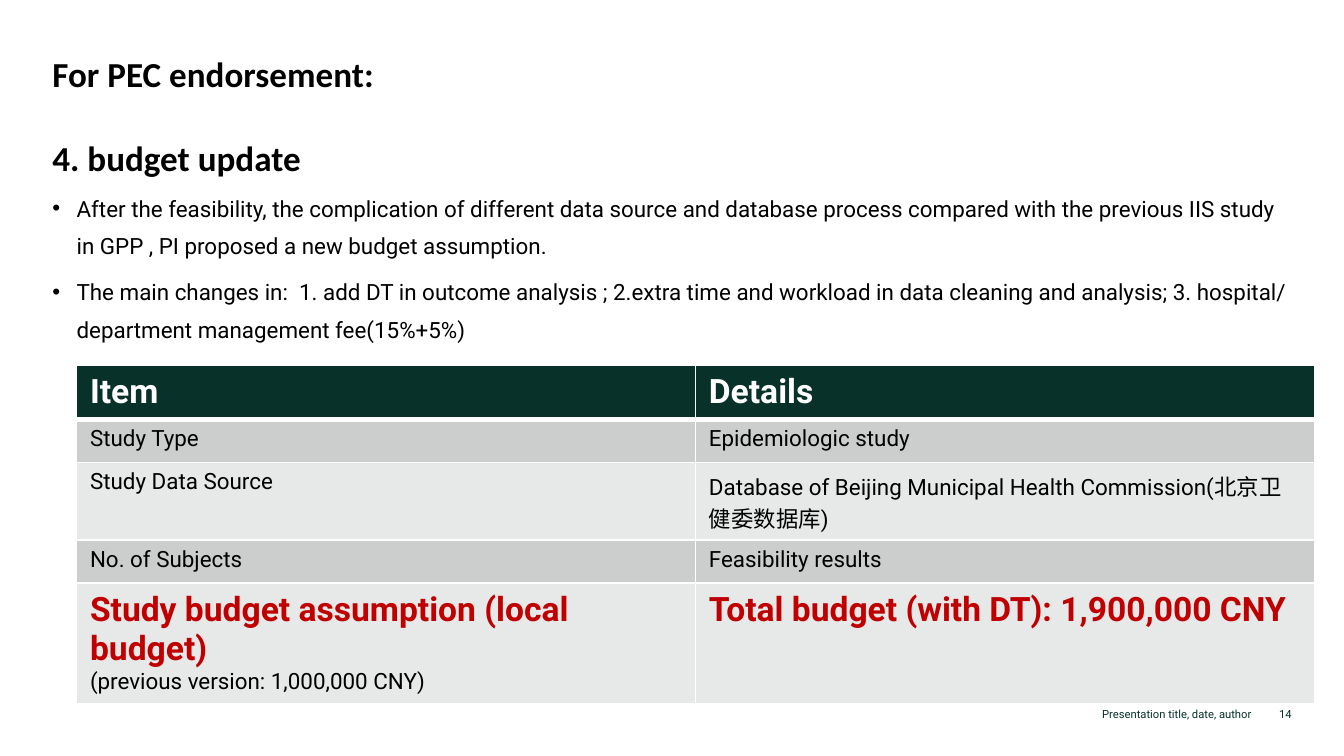
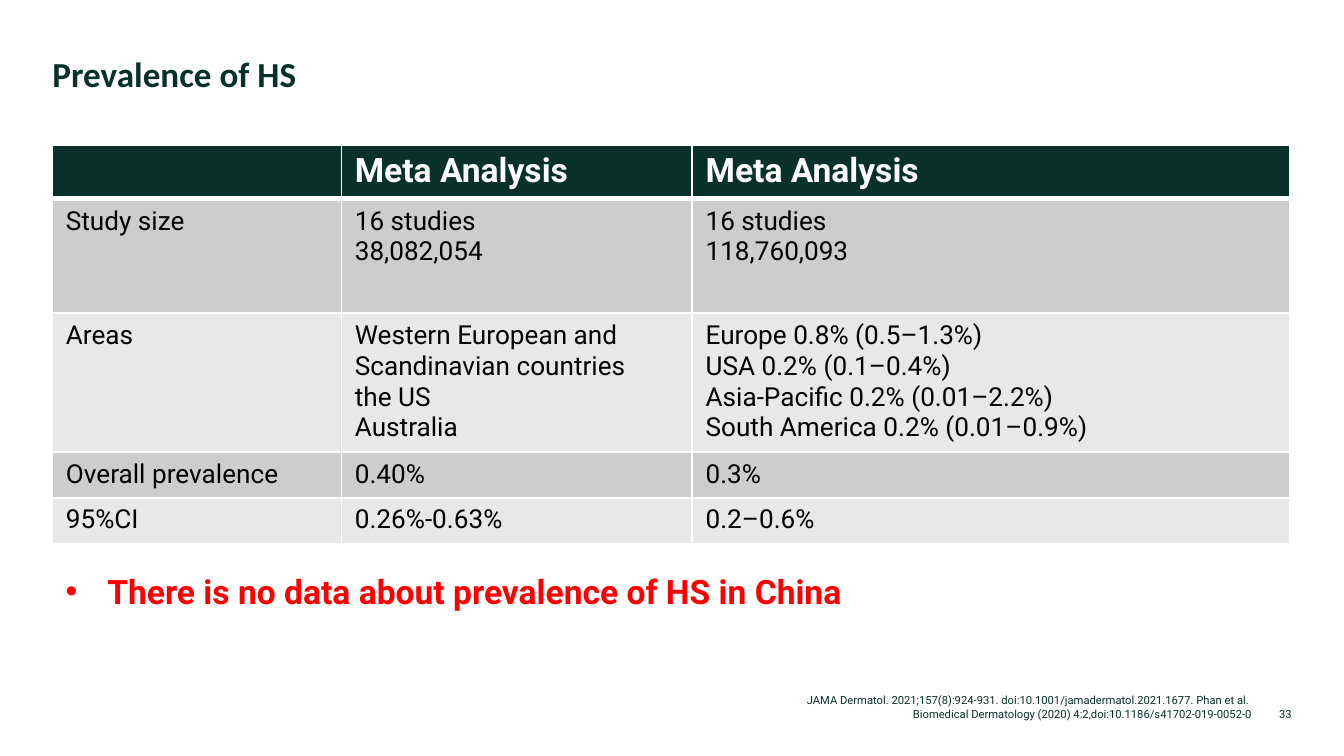
from dataclasses import dataclass

from lxml.etree import SubElement
from pptx import Presentation
from pptx.dml.color import RGBColor
from pptx.enum.text import MSO_ANCHOR, MSO_AUTO_SIZE, PP_ALIGN
from pptx.oxml.ns import qn
from pptx.util import Inches, Pt


@dataclass(frozen=True)
class Theme:
    heading_font: str = "Calibri"
    text_font: str = "Roboto"
    green: str = "08312A"
    black: str = "000000"
    white: str = "FFFFFF"
    bands: tuple = ("CCCECD", "E7E8E8")
    dark_red: str = "C00000"
    red: str = "FF0000"
    title_size: float = 18.8
    large: int = 18
    medium: int = 14
    small: int = 12
    footer_size: int = 6


theme = Theme()
MARGIN, CONTENT = 0.39, 9.21
FOOTER_TOP, FOOTER_HEIGHT = 5.12, 0.24


def write(frame, lines, *, size, color=theme.black, font=theme.text_font, bold=False,
          align=None, spacing=None, before=0, after=0, bullet_indent=0):
    """Fill a text frame; a line is a string or a (string, size, color, bold) tuple."""
    for index, line in enumerate(lines):
        text, line_size, line_color, line_bold = (
            line if isinstance(line, tuple) else (line, size, color, bold))
        para = frame.paragraphs[0] if index == 0 else frame.add_paragraph()
        if bullet_indent:
            properties = para._p.get_or_add_pPr()
            properties.set("marL", str(Inches(bullet_indent)))
            properties.set("indent", str(-Inches(bullet_indent)))
            SubElement(properties, qn("a:buFont"), typeface="Arial")
            SubElement(properties, qn("a:buChar"), char="•")
        if align is not None:
            para.alignment = align
        if spacing:
            para.line_spacing = spacing
        para.space_before = Pt(before if index else 0)
        para.space_after = Pt(after)
        span = para.add_run()
        span.text = text
        span.font.name = font
        span.font.size = Pt(line_size)
        span.font.bold = line_bold
        span.font.color.rgb = RGBColor.from_string(line_color)


def add_text(page, place, lines, *, anchor=MSO_ANCHOR.TOP, inset=True, **text_format):
    box = page.shapes.add_textbox(*(Inches(length) for length in place))
    frame = box.text_frame
    frame.word_wrap = True
    frame.vertical_anchor = anchor
    if inset:
        frame.auto_size = MSO_AUTO_SIZE.SHAPE_TO_FIT_TEXT
    else:
        frame.margin_left = frame.margin_top = frame.margin_right = frame.margin_bottom = 0
    write(frame, lines, **text_format)


# Content of the two slides
pages = [
    dict(
        title=["For PEC endorsement:", "4. budget update"], title_color=theme.black,
        footer=["Presentation title, date, author"], number="14",
        table_at=(0.57, 2.72), columns=[CONTENT / 2] * 2,
        rows=[0.32, 0.32, 0.58, 0.32, 0.43], cell_size=theme.small,
        cells=[
            [["Item"], ["Details"]],
            [["Study Type"], ["Epidemiologic study"]],
            [["Study Data Source"],
             ["Database of Beijing Municipal Health Commission(北京卫健委数据库)"]],
            [["No. of Subjects"], ["Feasibility results"]],
            [[("Study budget assumption (local budget)", theme.large, theme.dark_red, True),
              "(previous version: 1,000,000 CNY)"],
             [("Total budget (with DT): 1,900,000 CNY", theme.large, theme.dark_red, True)]],
        ],
        bullets=dict(
            place=(MARGIN, 1.37, CONTENT, 1.44), inset=False, size=theme.small,
            spacing=1.4, after=4.5, bullet_indent=0.18,
            lines=[
                "After the feasibility, the complication of different data source and database "
                "process compared with the previous IIS study in GPP , PI proposed a new budget "
                "assumption.",
                "The main changes in:  1. add DT in outcome analysis ; 2.extra time and workload "
                "in data cleaning and analysis; 3. hospital/ department management fee(15%+5%)",
            ]),
    ),
    dict(
        title=["Prevalence of HS"], title_color=theme.green,
        footer=["JAMA Dermatol. 2021;157(8):924-931. doi:10.1001/jamadermatol.2021.1677. "
                "Phan et al. ",
                "Biomedical Dermatology (2020) 4:2,doi:10.1186/s41702-019-0052-0"],
        number="33",
        table_at=(MARGIN, 1.08), columns=[2.15, 2.61, 4.45],
        rows=[0.34, 0.85, 0.98, 0.34, 0.34], cell_size=theme.medium,
        cells=[
            [[], ["Meta Analysis"], ["Meta Analysis"]],
            [["Study size"], ["16 studies", "38,082,054"], ["16 studies", "118,760,093"]],
            [["Areas"],
             ["Western European and Scandinavian countries", "the US", "Australia"],
             ["Europe 0.8% (0.5–1.3%)", "USA 0.2% (0.1–0.4%)",
              "Asia-Pacific 0.2% (0.01–2.2%)", "South America 0.2% (0.01–0.9%)"]],
            [["Overall prevalence"], ["0.40%"], ["0.3%"]],
            [["95%CI"], ["0.26%-0.63%"], ["0.2–0.6%"]],
        ],
        bullets=dict(
            place=(MARGIN, 4.2, 6.55, 0.4), size=theme.large, color=theme.red, bold=True,
            bullet_indent=0.31, lines=["There is no data about prevalence of HS in China"]),
    ),
]

# Widescreen deck, 16 to 9
deck = Presentation()
deck.slide_width = Inches(10)
deck.slide_height = deck.slide_width * 9 // 16

for content in pages:
    page = deck.slides.add_slide(deck.slide_layouts[6])

    # Title
    add_text(page, (MARGIN, MARGIN, CONTENT, 0.59), content["title"], inset=False,
             size=theme.title_size, color=content["title_color"], font=theme.heading_font,
             bold=True, before=22.5)

    # Table with a dark header and two alternating bands
    columns, rows = content["columns"], content["rows"]
    table = page.shapes.add_table(
        len(rows), len(columns), *(Inches(length) for length in content["table_at"]),
        Inches(sum(columns)), Inches(sum(rows))).table
    table.first_row = table.horz_banding = False
    for column, width in zip(table.columns, columns):
        column.width = Inches(width)
    for index, (row, height) in enumerate(zip(table.rows, rows)):
        row.height = Inches(height)
        header = index == 0
        for cell, lines in zip(row.cells, content["cells"][index]):
            write(cell.text_frame, lines, bold=header,
                  size=theme.large if header else content["cell_size"],
                  color=theme.white if header else theme.black)
            properties = cell._tc.get_or_add_tcPr()
            for side in "LRTB":
                thick = (index, side) in ((0, "B"), (1, "T"))
                border = SubElement(properties, qn(f"a:ln{side}"), w=str(Pt(3 if thick else 1)))
                paint = SubElement(border, qn("a:solidFill"))
                SubElement(paint, qn("a:srgbClr"), val=theme.white)
            cell.fill.solid()
            cell.fill.fore_color.rgb = RGBColor.from_string(
                theme.green if header else theme.bands[(index - 1) % 2])

    # Bullets
    add_text(page, **content["bullets"])

    # Footer and page number
    for left, width, lines in ((5.18, 4.13, content["footer"]),
                               (9.37, 0.24, [content["number"]])):
        add_text(page, (left, FOOTER_TOP, width, FOOTER_HEIGHT), lines, inset=False,
                 anchor=MSO_ANCHOR.BOTTOM, align=PP_ALIGN.RIGHT,
                 size=theme.footer_size, color=theme.green)

deck.save("out.pptx")
